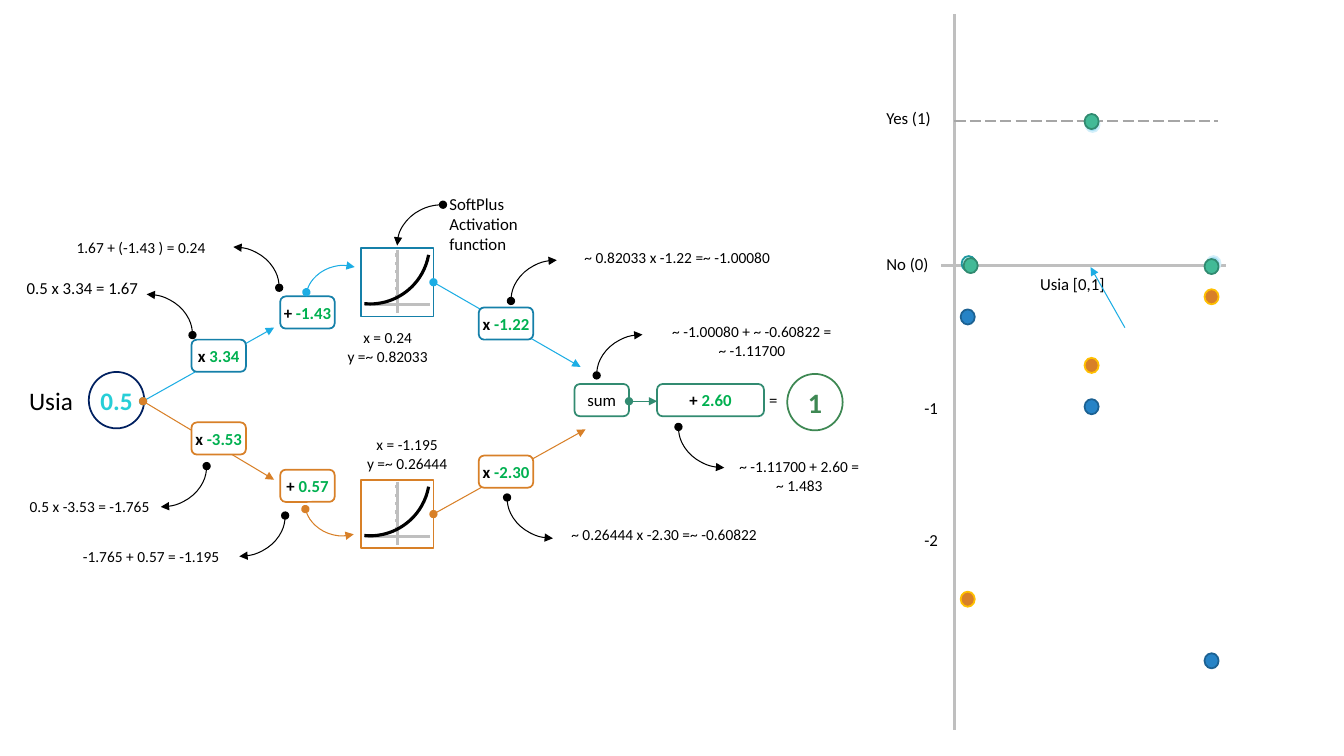
"""Builds the slide of a small neural network beside a plot of its outputs."""
from dataclasses import dataclass

from lxml.etree import SubElement
from pptx import Presentation
from pptx.dml.color import RGBColor
from pptx.enum.dml import MSO_LINE_DASH_STYLE as Dash
from pptx.enum.shapes import MSO_CONNECTOR as Connector, MSO_SHAPE as Shape
from pptx.enum.text import MSO_ANCHOR as Anchor, PP_ALIGN as Align
from pptx.oxml.ns import qn
from pptx.util import Pt


@dataclass(frozen=True)
class Theme:
    font: str = "Calibri"
    note: int = 11
    body: int = 12
    large: int = 18
    output: int = 20
    thin: float = 0.75
    outline: float = 1.25
    heavy: float = 2.25
    black: str = "000000"
    white: str = "FFFFFF"
    axis: str = "BFBFBF"
    dashes: str = "A6A6A6"
    sky: str = "1CADE4"
    blue: str = "1580A9"
    orange: str = "D88028"
    green: str = "328B71"
    weight: str = "00B050"
    navy: str = "002060"
    cyan: str = "27CED7"
    result: str = "3E8853"


THEME = Theme()
PALE_TEAL = (THEME.cyan, "1D989F")
PALE_BLUE = ("A4DEF4", "D2EFFA")
BLUE_DOT = ("2683C6", "1C6192")
ORANGE_DOT = (THEME.orange, "FFC000")
GREEN_DOT = ("42BA97", "318A70")


def style_line(line, color, width, head=None, tail=None, dash=None):
    line.color.rgb = RGBColor.from_string(color)
    line.width = Pt(width)
    if dash:
        line.dash_style = dash
    ln = line._get_or_add_ln()
    for tag, end in (("a:headEnd", head), ("a:tailEnd", tail)):
        if end:
            SubElement(ln, qn(tag)).set("type", end)


def style_run(run, size, color, bold):
    run.font.name = THEME.font
    run.font.size = Pt(size)
    run.font.bold = bold
    run.font.color.rgb = RGBColor.from_string(color)


def write(frame, text, size, align, color=THEME.black, bold=False):
    frame.text = text
    for paragraph in frame.paragraphs:
        paragraph.alignment = align
        for run in paragraph.runs:
            style_run(run, size, color, bold)


def add_line(slide, start, end, color, width=THEME.thin, **ends):
    line = slide.shapes.add_connector(Connector.STRAIGHT, *map(Pt, start + end))
    style_line(line.line, color, width, **ends)
    SubElement(line._element.spPr, qn("a:effectLst"))


def add_node(slide, kind, box, fill, outline):
    node = slide.shapes.add_shape(kind, *map(Pt, box))
    node.shadow.inherit = False
    node.fill.solid()
    node.fill.fore_color.rgb = RGBColor.from_string(fill)
    style_line(node.line, outline, THEME.outline)
    frame = node.text_frame
    frame.margin_left = frame.margin_right = frame.margin_top = frame.margin_bottom = 0
    frame.vertical_anchor = Anchor.MIDDLE
    frame.word_wrap = False
    return node


def add_arc(slide, box, color, width=THEME.thin, flip="", rotation=0, span=None, **ends):
    arc = slide.shapes.add_shape(Shape.ARC, *map(Pt, box))
    arc.shadow.inherit = False
    arc.fill.background()
    arc.rotation = rotation
    if span:
        arc.adjustments[0], arc.adjustments[1] = span
    for axis in flip:
        arc._element.spPr.find(qn("a:xfrm")).set("flip" + axis, "1")
    style_line(arc.line, color, width, **ends)


def add_label(slide, box, text, size=THEME.body, align=Align.LEFT):
    label = slide.shapes.add_textbox(*map(Pt, box))
    label.text_frame.word_wrap = True
    write(label.text_frame, text, size, align)


def add_weight(slide, left, top, sign, value, color, width=38.9):
    box = add_node(slide, Shape.ROUNDED_RECTANGLE, (left, top, width, 23), THEME.white, color)
    write(box.text_frame, sign + " ", THEME.body, Align.CENTER, bold=True)
    number = box.text_frame.paragraphs[0].add_run()
    number.text = value
    style_run(number, THEME.body, THEME.weight, True)


def add_circle(slide, left, top, text, size, outline, color):
    circle = add_node(slide, Shape.OVAL, (left, top, 39.6, 40.3), THEME.white, outline)
    write(circle.text_frame, text, size, Align.CENTER, color, True)


def add_softplus(slide, left, top, color):
    add_node(slide, Shape.RECTANGLE, (left, top, 51.8, 49), THEME.white, color)
    across, down = top + 40.3, left + 25.9
    strokes = [((left + 2.9, across), (left + 49.7, across)),
               ((down, top + 1.4), (down, top + 46.8))]
    for step in range(6):
        x, y = left + 9.3 + 6.7 * step, top + 5 + 6 * step
        strokes += [((x, across), (x, across + 1.4)), ((down, y), (down - 1.4, y))]
    for start, end in strokes:
        add_line(slide, start, end, THEME.axis, THEME.heavy)
    add_arc(slide, (left - 36, top - 45, 85, 85), THEME.black, THEME.heavy,
            rotation=90, span=(168.05, 3.31))


def add_dot(slide, left, top, colors, opacity=None):
    dot = add_node(slide, Shape.OVAL, (left, top, 10.1, 10.8), *colors)
    if opacity:
        color = dot._element.spPr.find(qn("a:solidFill"))[0]
        SubElement(color, qn("a:alpha")).set("val", str(opacity * 1000))


def draw_plot(slide):
    add_line(slide, (672.5, 189.4), (875.5, 189.4), THEME.axis, THEME.heavy)
    add_line(slide, (681.8, 10.1), (681.8, 521.3), THEME.axis, THEME.heavy)
    add_dot(slide, 686.9, 182.9, PALE_TEAL, 25)
    add_label(slide, (735.8, 192.2, 87.1, 33.8), "Usia [0,1]")
    add_line(slide, (803.5, 234), (779, 190.8), THEME.sky, tail="triangle")
    add_line(slide, (681.8, 86.4), (869.8, 86.4), THEME.dashes, 1, dash=Dash.LONG_DASH)
    for top, text, align in ((73.4, "Yes (1)", Align.LEFT), (177.8, "No (0)", Align.LEFT),
                             (280.8, "-1", Align.RIGHT), (375.1, "-2", Align.RIGHT)):
        add_label(slide, (626, top, 51, 21.6), text, align=align)
    for colors, points in (
            (PALE_BLUE, ((861.8, 182.9), (775.4, 83.5))),
            (BLUE_DOT, ((686.2, 221), (774.7, 285.1), (860.4, 466.6))),
            (ORANGE_DOT, ((686.2, 422.6), (774.7, 255.6), (860.4, 206.6))),
            (GREEN_DOT, ((688.3, 184.3), (774.7, 81.4), (860.4, 185)))):
        for left, top in points:
            add_dot(slide, left, top, colors)


def draw_network(slide):
    flow = {"head": "oval", "tail": "triangle"}
    add_circle(slide, 63.4, 265.7, "0.5", THEME.large, THEME.navy, THEME.cyan)
    add_softplus(slide, 257.8, 177.1, THEME.blue)
    add_softplus(slide, 257.8, 342.7, THEME.orange)
    for start, end, color in (((102.2, 286.6), (195.8, 234), THEME.sky),
                              ((102.2, 286.6), (195.8, 342.7), THEME.orange),
                              ((309.6, 201.6), (414.7, 262.1), THEME.sky),
                              ((309.6, 367.2), (418.3, 306.7), THEME.orange)):
        add_line(slide, start, end, color, **flow)
    total = add_node(slide, Shape.ROUNDED_RECTANGLE, (410.4, 274.3, 38.9, 23),
                     THEME.white, THEME.green)
    write(total.text_frame, "sum", THEME.body, Align.CENTER)
    for left, top, sign, value, color in ((136.8, 242.6, "x", "3.34", THEME.blue),
                                          (200.2, 211.7, "+", "-1.43", THEME.blue),
                                          (342, 219.6, "x", "-1.22", THEME.blue),
                                          (136.8, 301.7, "x", "-3.53", THEME.orange),
                                          (200.2, 335.5, "+", "0.57", THEME.orange),
                                          (342, 325.4, "x", "-2.30", THEME.orange)):
        add_weight(slide, left, top, sign, value, color)
    add_weight(slide, 469.4, 274.3, "+", "2.60", THEME.green, 76.3)
    add_line(slide, (449.3, 286.6), (469.4, 286.6), THEME.green, **flow)
    add_arc(slide, (219.6, 187.9, 53.3, 56.9), THEME.sky, rotation=285.6, **flow)
    add_arc(slide, (218.9, 327.6, 53.3, 56.9), THEME.orange, flip="V", rotation=74.4, **flow)
    add_circle(slide, 562.3, 267.1, "1", THEME.output, THEME.result, THEME.result)
    add_label(slide, (13.7, 271.4, 51.1, 28.8), "Usia", THEME.large)
    add_label(slide, (542.2, 275, 20.2, 21.6), "=")


def draw_notes(slide):
    add_label(slide, (313.9, 134.6, 100.8, 36), "SoftPlus\nActivation function")
    add_arc(slide, (283.7, 146.2, 65.5, 58.3), THEME.black, flip="H",
            head="oval", tail="triangle")
    for left, top, flip in ((72, 210.2, ""), (133.9, 176.4, ""), (365, 185.8, "H"),
                            (82.1, 303.8, "V"), (138.2, 339.1, "V"), (362.2, 326.2, "HV"),
                            (426.2, 239, "H"), (484.6, 275.8, "HV")):
        add_arc(slide, (left, top, 65.5, 58.3), THEME.black, flip=flip,
                head="triangle", tail="oval")
    add_label(slide, (1.4, 195.1, 104.4, 21.6), "0.5 x 3.34 = 1.67", align=Align.RIGHT)
    for left, top, width, text in (
            (32.4, 166.3, 136.8, "1.67 + (-1.43 ) = 0.24"),
            (403.9, 173.5, 159.8, "~ 0.82033 x -1.22 =~ -1.00080"),
            (12.2, 351.4, 103.7, "0.5 x -3.53 = -1.765"),
            (46.1, 387.4, 123.8, "-1.765 + 0.57 = -1.195"),
            (395.3, 371.5, 158.4, "~ 0.26444 x -2.30 =~ -0.60822"),
            (236.2, 231.1, 81.4, "x = 0.24\ny =~ 0.82033"),
            (253.4, 307.4, 74.9, "x = -1.195\ny =~ 0.26444"),
            (464.4, 226.8, 145.4, "~ -1.00080 + ~ -0.60822 =\n~ -1.11700"),
            (517.7, 323.3, 106.6, "~ -1.11700 + 2.60 =\n~ 1.483")):
        height = 20.9 + 12.9 * text.count("\n")
        add_label(slide, (left, top, width, height), text, THEME.note, Align.CENTER)


def main():
    deck = Presentation()
    deck.slide_width, deck.slide_height = Pt(960), Pt(540)
    slide = deck.slides.add_slide(deck.slide_layouts[6])
    draw_plot(slide)
    draw_network(slide)
    draw_notes(slide)
    deck.save("out.pptx")


if __name__ == "__main__":
    main()
